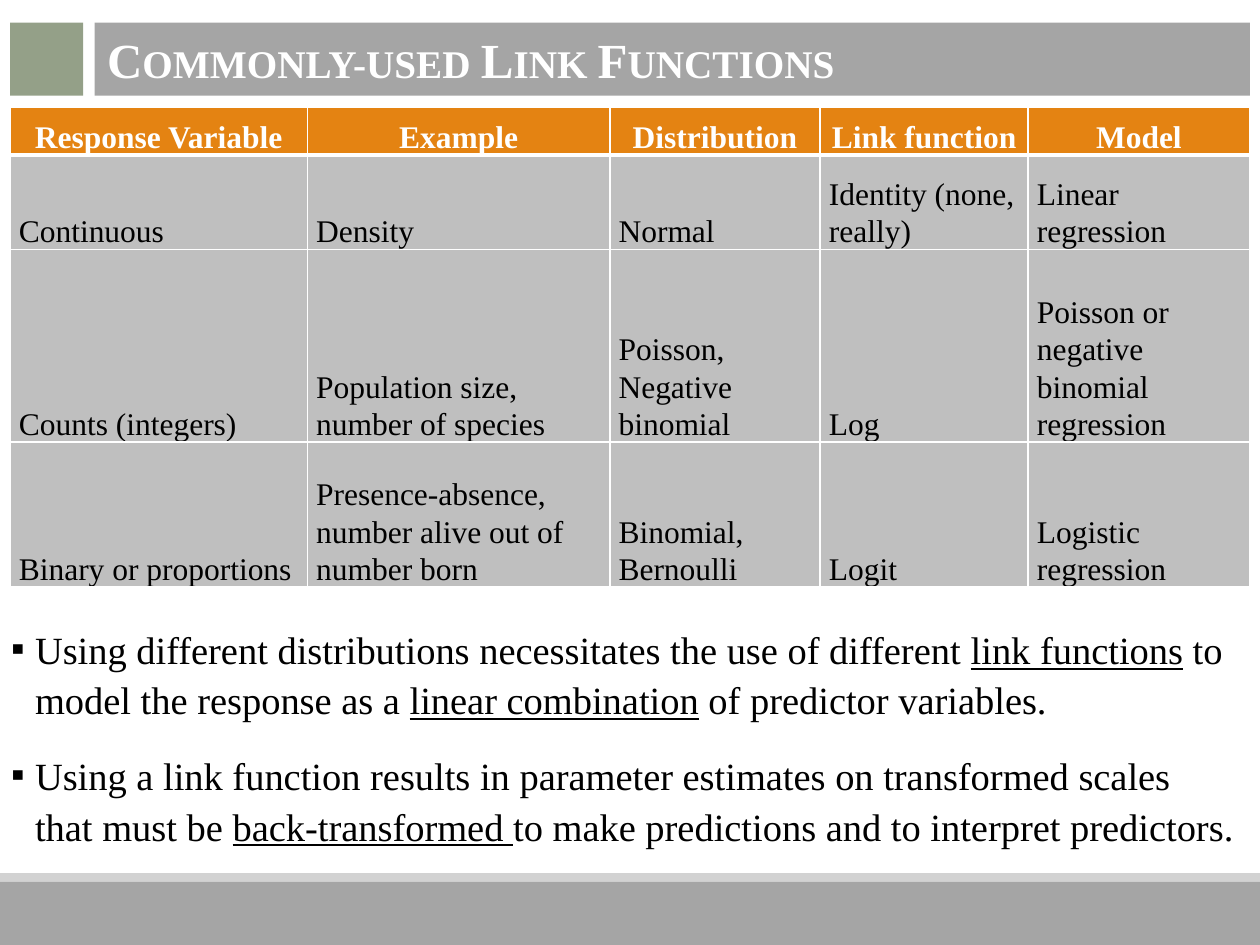
from dataclasses import dataclass
import pptx
import pptx.util
import pptx.dml.color
import pptx.enum.shapes
import pptx.enum.text
import pptx.oxml
import pptx.oxml.ns

Inches = pptx.util.Inches
Pt = pptx.util.Pt
Align = pptx.enum.text.PP_ALIGN
Anchor = pptx.enum.text.MSO_ANCHOR
NS = pptx.oxml.ns.nsdecls("a")


@dataclass(frozen=True)
class Theme:
    font: str = "Times New Roman"
    white: str = "FFFFFF"
    black: str = "000000"
    banner: str = "A5A5A5"
    accent: str = "94A088"
    head: str = "E48312"
    cell: str = "BFBFBF"
    foot: str = "7F7F7F"
    title_size: int = 28
    table_size: int = 18
    body_size: int = 22


@dataclass(frozen=True)
class Block:
    left: float
    top: float
    width: float
    height: float
    color: str
    alpha: int = 100


THEME = Theme()
BLOCKS = [
    Block(0, 7, 10, 0.5, THEME.foot, 70),
    Block(0, 6.93, 10, 0.07, THEME.cell, 70),
    Block(0.08, 0.18, 0.58, 0.58, THEME.accent),
]
COLS = [2.36, 2.4, 1.67, 1.65, 1.76]
ROWS = [0.38, 0.75, 1.53, 1.15]
CELLS = [
    ["Response Variable", "Example", "Distribution", "Link function", "Model"],
    ["Continuous", "Density", "Normal", "Identity (none, really)",
     "Linear regression"],
    ["Counts (integers)", "Population size, number of species",
     "Poisson, Negative binomial", "Log",
     "Poisson or negative binomial regression"],
    ["Binary or proportions",
     "Presence-absence, number alive out of number born",
     "Binomial, Bernoulli", "Logit", "Logistic regression"],
]
# Each point alternates plain and underlined text, starting with plain.
POINTS = [
    ["Using different distributions necessitates the use of different ",
     "link functions", " to model the response as a ",
     "linear combination", " of predictor variables."],
    ["Using a link function results in parameter estimates on transformed "
     "scales that must be ", "back-transformed ",
     "to make predictions and to interpret predictors."],
]


def rgb(color: str):
    return pptx.dml.color.RGBColor.from_string(color)


def paint(fill, color: str) -> None:
    fill.solid()
    fill.fore_color.rgb = rgb(color)


def style(para, size: int, color: str, bold: bool = False) -> None:
    font = para.font
    font.name, font.size, font.bold = THEME.font, Pt(size), bold
    font.color.rgb = rgb(color)


def add_block(slide, block: Block) -> None:
    shape = slide.shapes.add_shape(
        pptx.enum.shapes.MSO_SHAPE.RECTANGLE, Inches(block.left),
        Inches(block.top), Inches(block.width), Inches(block.height))
    shape.shadow.inherit = False
    shape.line.fill.background()
    paint(shape.fill, block.color)
    if block.alpha < 100:
        color = shape.fill._xPr.find(".//" + pptx.oxml.ns.qn("a:srgbClr"))
        color.append(pptx.oxml.parse_xml(
            f'<a:alpha {NS} val="{block.alpha * 1000}"/>'))


def set_title(slide) -> None:
    title = slide.shapes.title
    title.left, title.top = Inches(0.75), Inches(0.18)
    title.width, title.height = Inches(9.17), Inches(0.58)
    paint(title.fill, THEME.banner)
    frame = title.text_frame
    frame.text = "Commonly-used Link Functions"
    frame.auto_size = pptx.enum.text.MSO_AUTO_SIZE.NONE
    frame.vertical_anchor = Anchor.MIDDLE
    para = frame.paragraphs[0]
    para.alignment = Align.LEFT
    style(para, THEME.title_size, THEME.white, True)
    para.runs[0].font._element.set("cap", "small")


def edge_cell(cell, base: int) -> None:
    """Draw white borders, with the lower one base points wide."""
    props = cell._tc.get_or_add_tcPr()
    widths = {"lnL": 1, "lnR": 1, "lnT": 1, "lnB": base}
    for place, (tag, width) in enumerate(widths.items()):
        props.insert(place, pptx.oxml.parse_xml(
            f'<a:{tag} {NS} w="{Pt(width)}"><a:solidFill>'
            f'<a:srgbClr val="{THEME.white}"/></a:solidFill></a:{tag}>'))


def fill_cell(cell, text: str, head: bool) -> None:
    cell.text = text
    cell.vertical_anchor = Anchor.BOTTOM
    cell.margin_left = cell.margin_right = Inches(0.07)
    cell.margin_top = cell.margin_bottom = 0
    para = cell.text_frame.paragraphs[0]
    para.line_spacing = 1.07
    para.alignment = Align.CENTER if head else Align.LEFT
    style(para, THEME.table_size, THEME.white if head else THEME.black, head)
    paint(cell.fill, THEME.head if head else THEME.cell)
    edge_cell(cell, 3 if head else 1)


def add_links(slide) -> None:
    table = slide.shapes.add_table(
        len(ROWS), len(COLS), Inches(0.08), Inches(0.85),
        Inches(sum(COLS)), Inches(sum(ROWS))).table
    for col, width in zip(table.columns, COLS):
        col.width = Inches(width)
    for row, high, texts in zip(table.rows, ROWS, CELLS):
        row.height = Inches(high)
        for cell, text in zip(row.cells, texts):
            fill_cell(cell, text, texts is CELLS[0])


def add_bullet(para) -> None:
    props = para._p.get_or_add_pPr()
    props.set("marL", str(Inches(0.19)))
    props.set("indent", str(-Inches(0.19)))
    for xml in (f'<a:buClr {NS}><a:srgbClr val="{THEME.black}"/></a:buClr>',
                f'<a:buFont {NS} typeface="{THEME.font}"/>',
                f'<a:buChar {NS} char="▪"/>'):
        props.insert_element_before(
            pptx.oxml.parse_xml(xml), "a:tabLst", "a:defRPr", "a:extLst")


def add_points(slide) -> None:
    frame = slide.shapes.add_textbox(
        Inches(-0.01), Inches(4.88), Inches(9.93), Inches(1.78)).text_frame
    frame.word_wrap = True
    for place, parts in enumerate(POINTS):
        para = frame.add_paragraph() if place else frame.paragraphs[0]
        para.line_spacing = 1.1
        para.space_before = Pt(14 if place else 0)
        style(para, THEME.body_size, THEME.black)
        add_bullet(para)
        for turn, text in enumerate(parts):
            run = para.add_run()
            run.text = text
            if turn % 2:
                run.font.underline = True


def main() -> None:
    deck = pptx.Presentation()
    deck.slide_width, deck.slide_height = Inches(10), Inches(7.5)
    slide = deck.slides.add_slide(deck.slide_layouts[5])
    set_title(slide)
    for block in BLOCKS:
        add_block(slide, block)
    add_links(slide)
    add_points(slide)
    deck.save("out.pptx")


if __name__ == "__main__":
    main()
